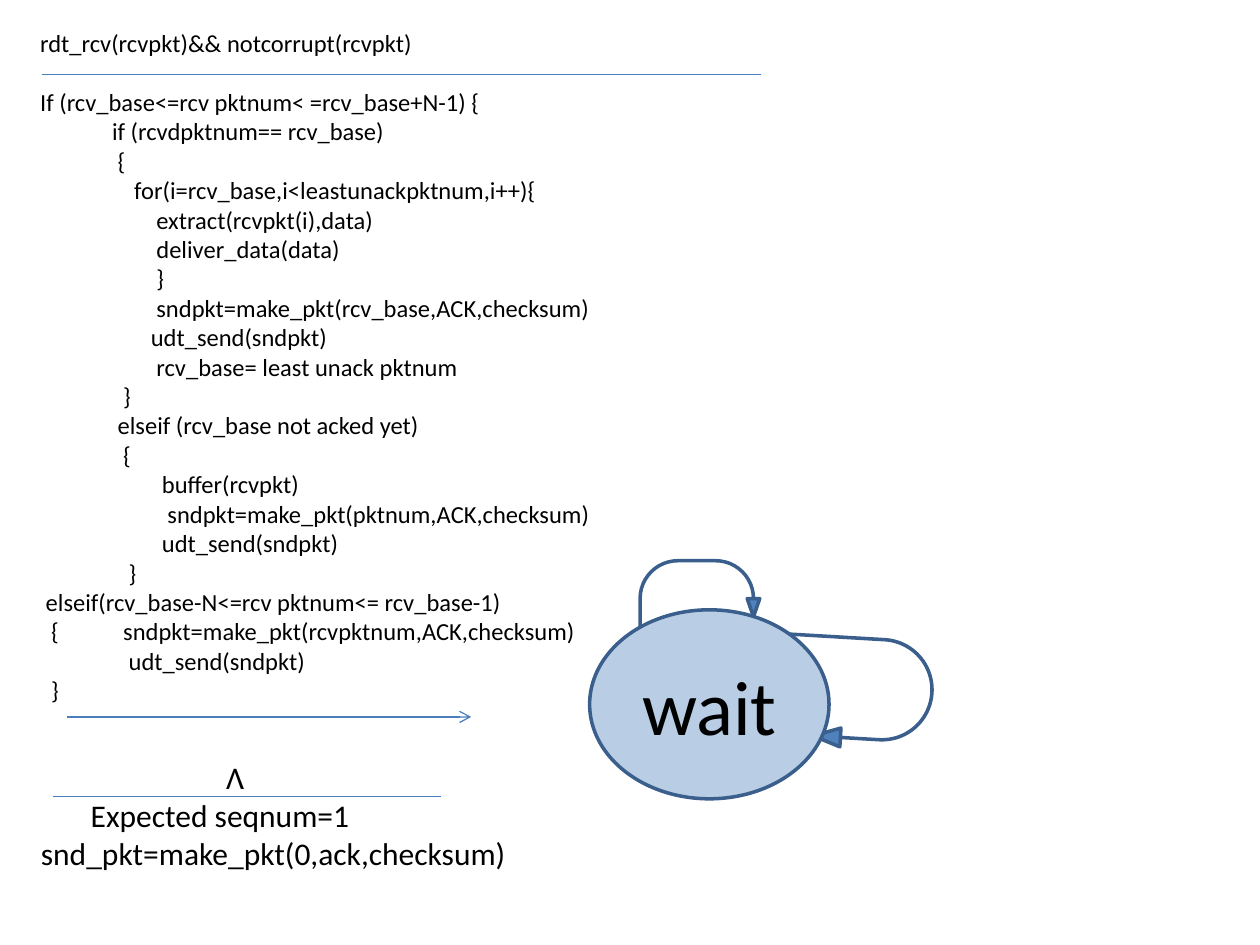
from typing import NamedTuple

import pptx
import pptx.dml.color
import pptx.enum.shapes
import pptx.enum.text
import pptx.oxml.ns
import pptx.util
from lxml import etree
from pptx.util import Inches, Pt

COLORS = {"white": "FFFFFF", "text": "000000", "arrow": "4F81BD",
          "outline": "3A5F8C", "rule": "4B7EBC", "state": "B9CDE5"}
SPACE_EM = 0.226  # width of one indent step, as a share of the text size
SHAPES = pptx.enum.shapes.MSO_SHAPE


class CodeLine(NamedTuple):
    indent: int  # in steps
    text: str
    space_before: float = 0
    hang: int = 0  # steps from the indent to the text after a tab


class Rule(NamedTuple):
    left: float
    right: float
    y: float
    arrow: bool = False


class Loop(NamedTuple):
    left: float
    top: float
    width: float
    height: float
    rotation: float


RECEIVER = [
    CodeLine(0, "rdt_rcv(rcvpkt)&& notcorrupt(rcvpkt)"),
    CodeLine(0, "If (rcv_base<=rcv pktnum< =rcv_base+N-1) {", 17.1),
    CodeLine(13, "if (rcvdpktnum== rcv_base)"),
    CodeLine(14, "{"),
    CodeLine(17, "for(i=rcv_base,i<leastunackpktnum,i++){"),
    CodeLine(21, "extract(rcvpkt(i),data)"),
    CodeLine(21, "deliver_data(data)"),
    CodeLine(21, "}"),
    CodeLine(21, "sndpkt=make_pkt(rcv_base,ACK,checksum)"),
    CodeLine(20, "udt_send(sndpkt)"),
    CodeLine(21, "rcv_base= least unack pktnum"),
    CodeLine(15, "}"),
    CodeLine(14, "elseif (rcv_base not acked yet)"),
    CodeLine(15, "{"),
    CodeLine(22, "buffer(rcvpkt)"),
    CodeLine(23, "sndpkt=make_pkt(pktnum,ACK,checksum)"),
    CodeLine(22, "udt_send(sndpkt)"),
    CodeLine(16, "}"),
    CodeLine(1, "elseif(rcv_base-N<=rcv pktnum<= rcv_base-1)"),
    CodeLine(2, "{\tsndpkt=make_pkt(rcvpktnum,ACK,checksum)", hang=13),
    CodeLine(16, "udt_send(sndpkt)"),
    CodeLine(2, "}"),
]
INITIAL = [CodeLine(27, "Λ"), CodeLine(8, "Expected seqnum=1"),
           CodeLine(1, "snd_pkt=make_pkt(0,ack,checksum)")]
RULES = [Rule(0.33, 6.04, 0.59), Rule(0.53, 3.74, 5.69, True), Rule(0.42, 3.5, 6.32)]
TOP_LOOP = Loop(5.08, 4.45, 0.95, 0.58, 0)
SIDE_LOOP = Loop(6.36, 4.9, 0.87, 1.2, 93.4)


def rgb(name: str) -> pptx.dml.color.RGBColor:
    return pptx.dml.color.RGBColor.from_string(COLORS[name])


def add_run(paragraph, text: str, size: float) -> None:
    run = paragraph.add_run()
    run.text = text
    run.font.name = "Calibri"
    run.font.size = Pt(size)
    run.font.color.rgb = rgb("text")


def write_code(shape, lines: list[CodeLine], size: float) -> None:
    frame = shape.text_frame
    frame.word_wrap = True
    frame.vertical_anchor = pptx.enum.text.MSO_ANCHOR.TOP
    step = Pt(size * SPACE_EM)
    for index, line in enumerate(lines):
        paragraph = frame.add_paragraph() if index else frame.paragraphs[0]
        paragraph.alignment = pptx.enum.text.PP_ALIGN.LEFT
        paragraph.space_before = Pt(line.space_before)
        properties = paragraph._p.get_or_add_pPr()
        properties.set("marL", str((line.indent + line.hang) * step))
        properties.set("indent", str(-line.hang * step))
        add_run(paragraph, line.text, size)


def add_shape(slide, kind, left: float, top: float, width: float, height: float,
              fill: str, outline: str):
    shape = slide.shapes.add_shape(kind, Inches(left), Inches(top), Inches(width), Inches(height))
    shape.shadow.inherit = False
    shape.fill.solid()
    shape.fill.fore_color.rgb = rgb(fill)
    shape.line.color.rgb = rgb(outline)
    shape.line.width = Pt(2)
    return shape


def add_loop(slide, loop: Loop) -> None:
    shape = add_shape(slide, SHAPES.U_TURN_ARROW, loop.left, loop.top, loop.width,
                      loop.height, "arrow", "outline")
    shape.rotation = loop.rotation
    for index, value in enumerate((0, 0.086, 0.25, 0.518, 0.768)):
        shape.adjustments[index] = value


def add_rule(slide, rule: Rule) -> None:
    connector = slide.shapes.add_connector(
        pptx.enum.shapes.MSO_CONNECTOR.STRAIGHT,
        Inches(rule.left), Inches(rule.y), Inches(rule.right), Inches(rule.y))
    connector.line.color.rgb = rgb("rule")
    connector.line.width = Pt(0.75)
    if rule.arrow:
        line = connector.line._get_or_add_ln()
        etree.SubElement(line, pptx.oxml.ns.qn("a:tailEnd"), type="arrow")
    etree.SubElement(connector._element.spPr, pptx.oxml.ns.qn("a:effectLst"))


presentation = pptx.Presentation()
presentation.slide_width = Inches(10)
presentation.slide_height = Inches(7.5)
slide = presentation.slides.add_slide(presentation.slide_layouts[6])

# Pseudocode
initial_box = slide.shapes.add_textbox(Inches(0.17), Inches(5.97), Inches(4.5), Inches(1.01))
write_code(initial_box, INITIAL, 18)
receiver_box = add_shape(slide, SHAPES.RECTANGLE, 0.22, 0.17, 9.61, 5.76, "white", "white")
write_code(receiver_box, RECEIVER, 14)

# State with its two loops
add_loop(slide, TOP_LOOP)
add_loop(slide, SIDE_LOOP)
state = add_shape(slide, SHAPES.OVAL, 4.68, 4.84, 1.9, 1.5, "state", "outline")
state.text_frame.vertical_anchor = pptx.enum.text.MSO_ANCHOR.MIDDLE
label = state.text_frame.paragraphs[0]
label.alignment = pptx.enum.text.PP_ALIGN.CENTER
add_run(label, "wait", 44)

# Rules and initial arrow
for rule in RULES:
    add_rule(slide, rule)

presentation.save("out.pptx")
